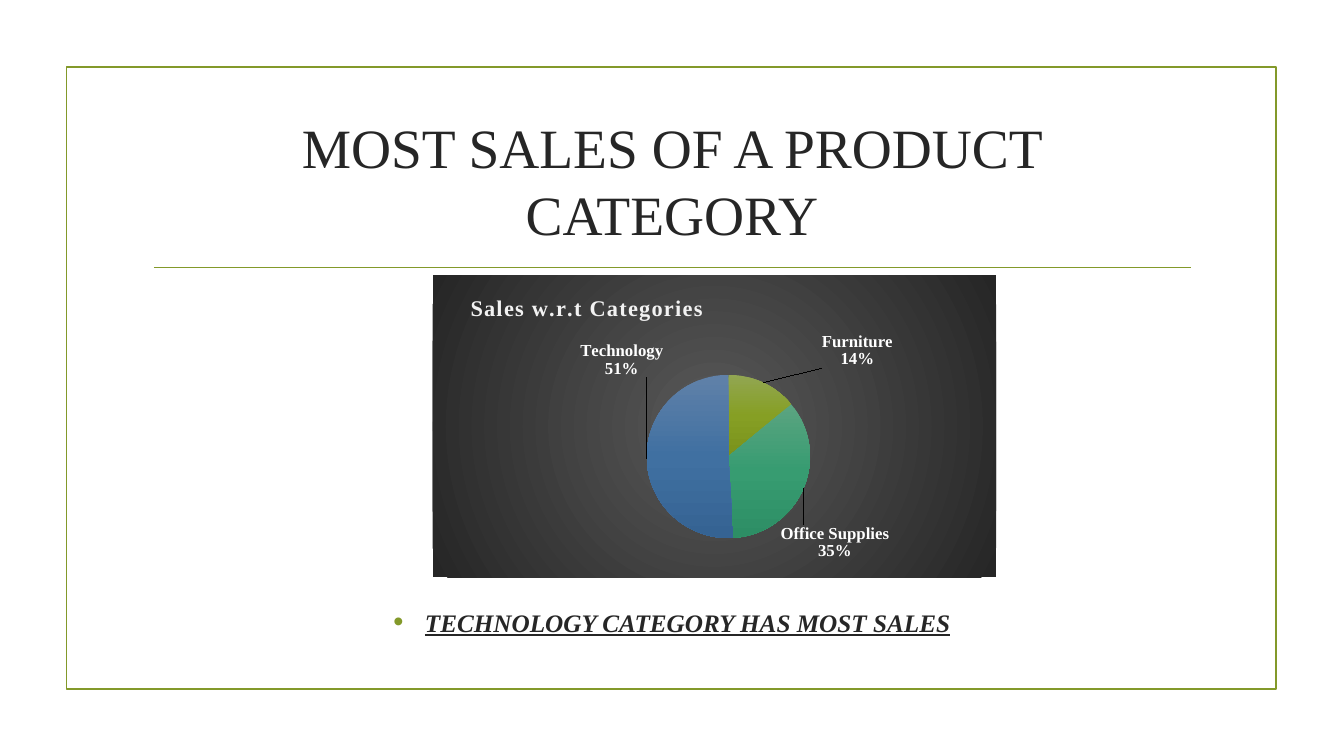
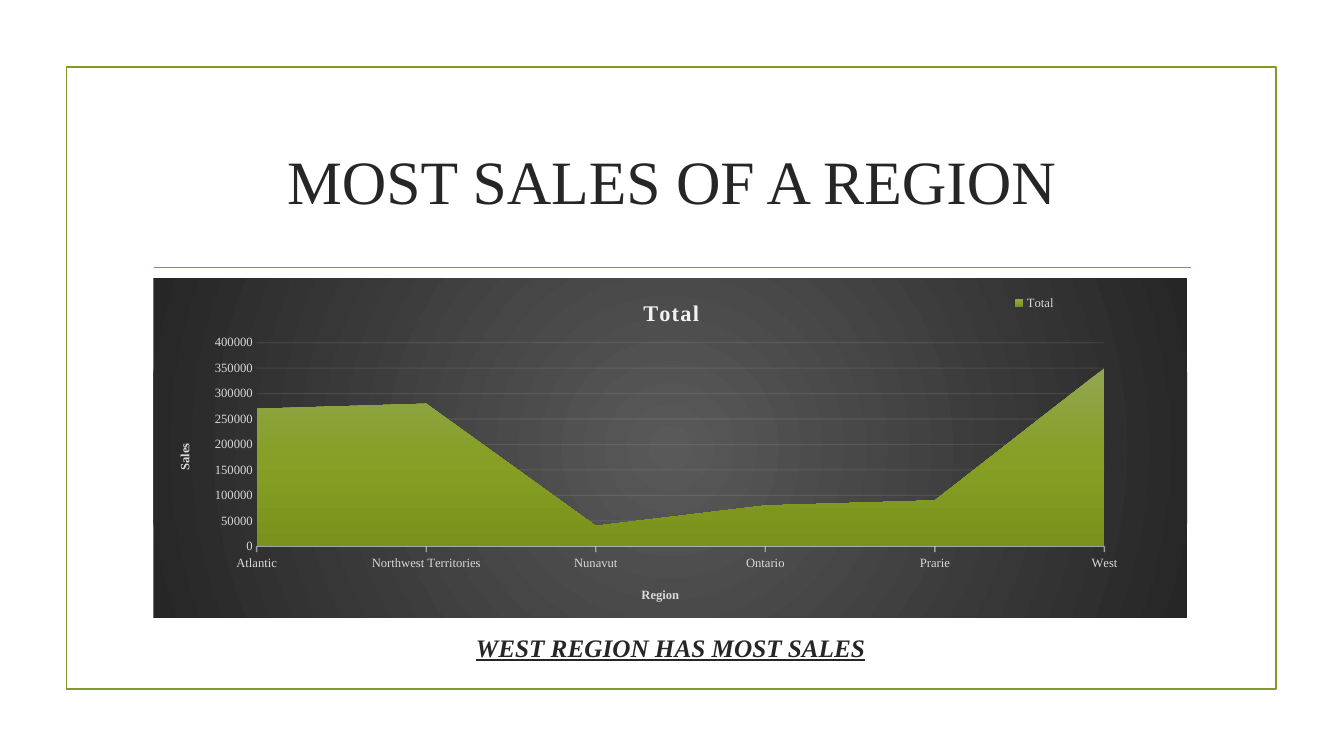
"""Build two sales slides: a pie of categories and an area chart of regions."""
from copy import deepcopy

from lxml import etree
from pptx import Presentation
from pptx.chart.data import CategoryChartData
from pptx.dml.color import RGBColor
from pptx.enum import chart as kinds, shapes, text
from pptx.oxml import parse_xml
from pptx.oxml.ns import nsdecls, qn
from pptx.util import Pt

FONT = "Times New Roman"
OLIVE, INK, PALE, GREY, WHITE = "83992A", "262626", "F2F2F2", "D9D9D9", "FFFFFF"
GREEN_FADE = ("92A652", "869F24", "7A921B")
TEAL_FADE = ("5BA481", "379C71", "2D8E65")
BLUE_FADE = ("6081A9", "4070A1", "356393")
DOWNWARD = '<a:lin ang="5400000" scaled="0"/>'
RADIAL = '<a:path path="circle"><a:fillToRect l="50000" t="50000" r="50000" b="50000"/></a:path>'


def style(font, size, color, bold=False):
    """Set the face, size, colour and weight of a font."""
    font.name, font.size, font.bold = FONT, Pt(size), bold
    font.color.rgb = RGBColor.from_string(color)


def paint(properties, colors, direction):
    """Put an evenly spaced gradient first in the shape properties."""
    step = 100000 // (len(colors) - 1)
    stops = "".join(f'<a:gs pos="{index * step}"><a:srgbClr val="{color}"/></a:gs>'
                    for index, color in enumerate(colors))
    properties.insert(0, parse_xml(
        f'<a:gradFill {nsdecls("a")} rotWithShape="1"><a:gsLst>{stops}</a:gsLst>{direction}</a:gradFill>'))


deck = Presentation()
deck.slide_width, deck.slide_height = Pt(960), Pt(540)

slides = [
    ("MOST SALES OF A PRODUCT CATEGORY", 39.6,
     "TECHNOLOGY CATEGORY HAS MOST SALES", (102, 430, 756, 33), True,
     kinds.XL_CHART_TYPE.PIE, (309, 196.5, 402.5, 216), "Sales w.r.t Categories", "Series 1",
     {"Furniture": 14, "Office Supplies": 35, "Technology": 51}),
    ("MOST SALES OF A REGION", 44,
     "WEST REGION HAS MOST SALES", (101, 448, 756, 29), False,
     kinds.XL_CHART_TYPE.AREA, (109.5, 198.7, 738.5, 242.5), "Total", "Total",
     {"Atlantic": 270000, "Northwest Territories": 280000, "Nunavut": 40000,
      "Ontario": 80000, "Prarie": 90000, "West": 350000}),
]
charts = []

for heading, size, message, place, bulleted, kind, area, caption, name, values in slides:
    page = deck.slides.add_slide(deck.slide_layouts[5])

    frame = page.shapes.add_shape(shapes.MSO_SHAPE.RECTANGLE, Pt(47.5), Pt(48), Pt(864), Pt(444))
    frame.shadow.inherit = False
    frame.fill.background()
    rule = page.shapes.add_connector(shapes.MSO_CONNECTOR.STRAIGHT, Pt(110), Pt(191), Pt(850.5), Pt(191))
    etree.SubElement(rule._element.spPr, qn("a:effectLst"))
    for outlined in (frame, rule):
        outlined.line.color.rgb = RGBColor.from_string(OLIVE)
        outlined.line.width = Pt(1.25)

    title = page.shapes.title
    title.left, title.top, title.width, title.height = Pt(102), Pt(77), Pt(756), Pt(103)
    title.text_frame.text = heading
    title.text_frame.vertical_anchor = text.MSO_ANCHOR.MIDDLE
    title.text_frame.paragraphs[0].alignment = text.PP_ALIGN.CENTER
    style(title.text_frame.paragraphs[0].runs[0].font, size, INK)

    box = page.shapes.add_textbox(*map(Pt, place))
    box.text_frame.word_wrap = True
    para = box.text_frame.paragraphs[0]
    para.text = message
    para.alignment = text.PP_ALIGN.CENTER
    para.space_before, para.space_after = Pt(3.6), Pt(6)
    span = para.runs[0]
    style(span.font, 18, INK, True)
    span.font.italic = span.font.underline = True
    if bulleted:
        settings = para._p.get_or_add_pPr()
        settings.set("marL", str(Pt(22.5)))
        settings.set("indent", str(-Pt(22.5)))
        color = etree.SubElement(settings, qn("a:buClr"))
        etree.SubElement(color, qn("a:srgbClr"), val=OLIVE)
        etree.SubElement(settings, qn("a:buSzPct"), val="115000")
        etree.SubElement(settings, qn("a:buFont"), typeface="Arial")
        etree.SubElement(settings, qn("a:buChar"), char="•")

    data = CategoryChartData()
    data.categories = list(values)
    data.add_series(name, list(values.values()))
    chart = page.shapes.add_chart(kind, *map(Pt, area), data).chart
    style(chart.font, 10, GREY)
    chart.has_legend = False
    chart.chart_title.text_frame.text = caption
    span = chart.chart_title.text_frame.paragraphs[0].runs[0]
    style(span.font, 16, PALE, True)
    span.font._rPr.set("spc", "100")
    backdrop = parse_xml(f'<c:spPr {nsdecls("c", "a")}><a:ln><a:noFill/></a:ln></c:spPr>')
    paint(backdrop, ("595959", "262626"), RADIAL)
    chart._chartSpace.xpath("c:chart")[0].addnext(backdrop)
    charts.append(chart)

pie, region_area = charts

slices = pie.plots[0].series[0]
pie.plots[0].vary_by_categories = True
for index, fade in enumerate((GREEN_FADE, TEAL_FADE, BLUE_FADE)):
    paint(slices.points[index].format._element.get_or_add_spPr(), fade, DOWNWARD)

labels = slices.data_labels
style(labels.font, 12, WHITE, True)
labels.position = kinds.XL_LABEL_POSITION.OUTSIDE_END
labels.show_value = False
labels.show_category_name = labels.show_percentage = True
all_labels = labels._element
separator = parse_xml(f'<c:separator {nsdecls("c")}>\n</c:separator>')
all_labels.xpath("c:showBubbleSize")[0].addnext(separator)
shared = [part for part in all_labels if part.tag != qn("c:showLeaderLines")]
slice_labels = []
for index in range(3):
    label = parse_xml(f'<c:dLbl {nsdecls("c")}><c:idx val="{index}"/></c:dLbl>')
    label.extend(deepcopy(shared))
    all_labels.insert(index, label)
    slice_labels.append(label)

region_area.plots[0].vary_by_categories = False
paint(region_area.plots[0].series[0].format._element.get_or_add_spPr(), GREEN_FADE, DOWNWARD)
region_area.has_legend = True
legend = region_area.legend
legend.position = kinds.XL_LEGEND_POSITION.RIGHT
legend.include_in_layout = False
style(legend.font, 9, GREY)

regions, sales = region_area.category_axis, region_area.value_axis
for axis, caption in ((regions, "Region"), (sales, "Sales")):
    style(axis.tick_labels.font, 9, GREY)
    axis.axis_title.text_frame.text = caption
    style(axis.axis_title.text_frame.paragraphs[0].runs[0].font, 9, GREY, True)
    axis.minor_tick_mark = kinds.XL_TICK_MARK.NONE
regions.has_major_gridlines = False
regions.major_tick_mark = kinds.XL_TICK_MARK.OUTSIDE
sales.major_tick_mark = kinds.XL_TICK_MARK.NONE
sales.minimum_scale, sales.maximum_scale, sales.major_unit = 0, 400000, 50000
sales.tick_labels.number_format = "0"
sales.tick_labels.number_format_is_linked = False
sales.has_major_gridlines = True
sales.format.line.fill.background()
sales.axis_title.text_frame._txBody.bodyPr.set("rot", "-5400000")
sales.axis_title.text_frame._txBody.bodyPr.set("vert", "horz")
region_area._chartSpace.xpath(".//c:crossBetween")[0].set("val", "midCat")
for line, width, opacity in ((regions.format.line, 1, 54), (sales.major_gridlines.format.line, 0.75, 10)):
    line.color.rgb = RGBColor.from_string(PALE)
    line.width = Pt(width)
    shade = line._get_or_add_ln().xpath(".//a:srgbClr")[0]
    etree.SubElement(shade, qn("a:alpha"), val=str(opacity * 1000))

placements = [
    (pie._chartSpace.xpath(".//c:plotArea")[0], (0.38, 0.33, 0.29, 0.54)),
    (pie.chart_title._element, (0.06, 0.05)),
    (slice_labels[0], (0.1, -0.03)),
    (slice_labels[1], (-0.05, 0.11)),
    (slice_labels[2], (0.04, -0.33)),
    (region_area._chartSpace.xpath(".//c:plotArea")[0], (0.1, 0.19, 0.82, 0.6)),
    (region_area.chart_title._element, (0.47, 0.05)),
    (legend._element, (0.83, 0.04)),
    (regions.axis_title._element, (0.47, 0.9)),
    (sales.axis_title._element, (0.02, 0.48)),
]
for owner, numbers in placements:
    for old in owner.findall(qn("c:layout")):
        owner.remove(old)
    is_plot = owner.tag == qn("c:plotArea")
    layout = etree.Element(qn("c:layout"))
    manual = etree.SubElement(layout, qn("c:manualLayout"))
    if is_plot:
        etree.SubElement(manual, qn("c:layoutTarget"), val="inner")
    if owner.tag != qn("c:dLbl"):
        for mode in ("xMode", "yMode"):
            etree.SubElement(manual, qn("c:" + mode), val="edge")
    for key, number in zip("xywh", numbers):
        etree.SubElement(manual, qn("c:" + key), val=str(number))
    owner.insert(0 if is_plot else 1, layout)

deck.save("out.pptx")
